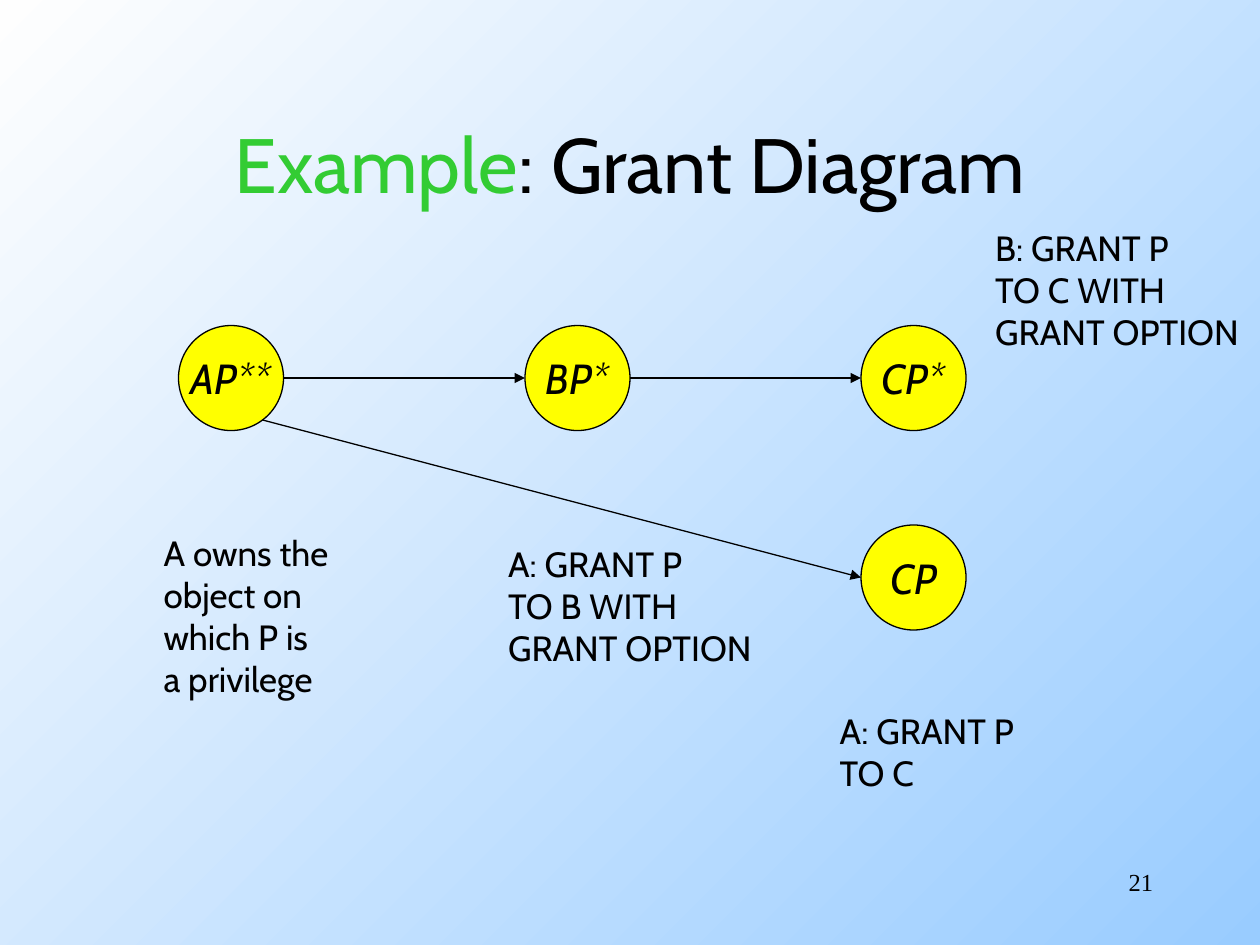
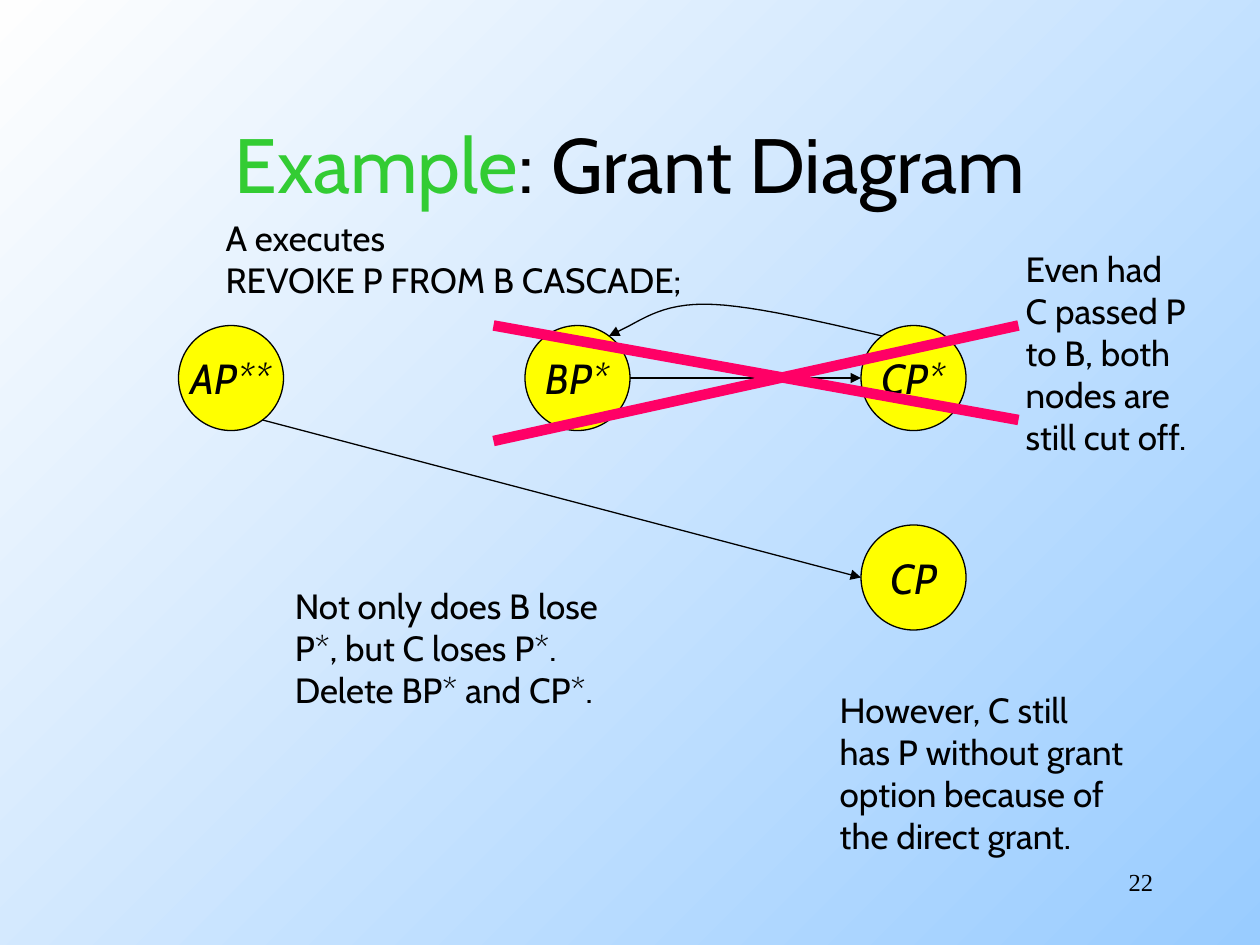
from pptx import Presentation
from pptx import util as u
from pptx.dml.color import RGBColor
from pptx.enum import shapes, text
from pptx.oxml.ns import qn
from lxml import etree

COLORS = {"text": "000000", "accent": "33CC33", "node": "FFFF00", "cross": "FF0066",
          "sky": "99CCFF", "white": "FEFEFE"}
RGB = {name: RGBColor.from_string(value) for name, value in COLORS.items()}
FONT, NUMBER_FONT = "Cabin", "Times New Roman"

prs = Presentation()
prs.slide_width, prs.slide_height = u.Inches(10), u.Inches(7.5)
CELL = prs.slide_width // 120  # the slide is a grid of 120 columns and 90 rows


def cells(*counts):
    return [round(count * CELL) for count in counts]


def draw_line(slide, start, end, color="text", width=0.75, arrow=True):
    line = slide.shapes.add_connector(shapes.MSO_CONNECTOR.STRAIGHT, *cells(*start, *end))
    line.line.color.rgb = RGB[color]
    line.line.width = u.Pt(width)
    properties = line._element.spPr
    if arrow:
        etree.SubElement(properties.find(qn("a:ln")), qn("a:tailEnd"), type="triangle")
    etree.SubElement(properties, qn("a:effectLst"))


# Shared background
sky = prs.slide_master.background.fill
sky.gradient()
sky.gradient_angle = 135
for stop, shade in zip(sky.gradient_stops, ("sky", "white")):
    stop.color.rgb = RGB[shade]

# Shared diagram: circles by column and row
NODE_SIZE = 10
NODES = [("AP**", 17, 31), ("BP*", 50, 31), ("CP*", 82, 31), ("CP", 82, 50)]
A_TO_B = ((27, 36), (50, 36))
B_TO_C = ((60, 36), (82, 36))
A_TO_C = ((25, 40), (82, 55))

# Each slide: number, grants, and notes as (column, row, width, lines)
STEPS = [
    (21, [A_TO_B, B_TO_C, A_TO_C], [
        (14.4, 50, 19.7, ["A owns the", "object on", "which P is", "a privilege"]),
        (47.2, 51.1, 27, ["A: GRANT P", "TO B WITH", "GRANT OPTION"]),
        (93.6, 21, 27, ["B: GRANT P", "TO C WITH", "GRANT OPTION"]),
        (78.8, 67, 20.2, ["A: GRANT P", "TO C"])]),
    (22, [B_TO_C, A_TO_C], [
        (20.3, 20, 47.5, ["A executes", "REVOKE P FROM B CASCADE;"]),
        (78.8, 65, 33.1, ["However, C still", "has P without grant",
                          "option because of", "the direct grant."]),
        (26.9, 55.1, 34.3, ["Not only does B lose", "P*, but C loses P*.",
                            "Delete BP* and CP*."]),
        (96.5, 23, 19.6, ["Even had", "C passed P", "to B, both",
                          "nodes are", "still cut off."])]),
]

for number, grants, notes in STEPS:
    slide = prs.slides.add_slide(prs.slide_layouts[5])

    # Title
    title = slide.shapes.title
    title.left, title.top, title.width, title.height = cells(9, 8, 102, 15)
    heading = title.text_frame
    heading.auto_size = text.MSO_AUTO_SIZE.NONE
    heading.vertical_anchor = text.MSO_ANCHOR.MIDDLE
    heading.text = "Example"
    heading.paragraphs[0].alignment = text.PP_ALIGN.CENTER
    heading.paragraphs[0].add_run().text = ": Grant Diagram"
    for run, color in zip(heading.paragraphs[0].runs, ("accent", "text")):
        run.font.name, run.font.size = FONT, u.Pt(44)
        run.font.color.rgb = RGB[color]

    # Privilege nodes
    for privilege, column, row in NODES:
        node = slide.shapes.add_shape(shapes.MSO_SHAPE.OVAL,
                                      *cells(column, row, NODE_SIZE, NODE_SIZE))
        node.shadow.inherit = False
        node.fill.solid()
        node.fill.fore_color.rgb = RGB["node"]
        node.line.color.rgb = RGB["text"]
        node.line.width = u.Pt(0.75)
        node.text_frame.word_wrap = False
        node.text_frame.text = privilege
        node.text_frame.vertical_anchor = text.MSO_ANCHOR.MIDDLE
        node.text_frame.paragraphs[0].alignment = text.PP_ALIGN.CENTER
        font = node.text_frame.paragraphs[0].runs[0].font
        font.name, font.size, font.italic = FONT, u.Pt(24), True
        font.color.rgb = RGB["text"]

    # Grant arrows
    for start, end in grants:
        draw_line(slide, start, end)

    # Notes
    for column, row, width, lines in notes:
        note = slide.shapes.add_textbox(*cells(column, row, width, 4 * len(lines) + 1.2))
        note.text_frame.word_wrap = False
        note.text_frame.auto_size = text.MSO_AUTO_SIZE.SHAPE_TO_FIT_TEXT
        note.text_frame.text = "\n".join(lines)
        for paragraph in note.text_frame.paragraphs:
            font = paragraph.runs[0].font
            font.name, font.size = FONT, u.Pt(20)
            font.color.rgb = RGB["text"]

    # Slide number
    page = slide.shapes.add_textbox(*cells(86, 82, 25, 6))
    page.text_frame.word_wrap = True
    page.text_frame.text = str(number)
    page.text_frame.paragraphs[0].alignment = text.PP_ALIGN.RIGHT
    font = page.text_frame.paragraphs[0].runs[0].font
    font.name, font.size = NUMBER_FONT, u.Pt(14)
    font.color.rgb = RGB["text"]

# Revoked nodes crossed out on the last slide
for start, end in [((47, 31), (97, 40)), ((47, 42), (97, 31))]:
    draw_line(slide, start, end, "cross", 6, arrow=False)

# Curved grant from C back to B, as two cubic curves
BENDS = [((84, 32), (78, 30.6), (72, 29.2), (68, 29)),
         ((68, 29), (64, 28.8), (62, 29.9), (60, 31))]
STEPS_PER_BEND = 12
curve = []
for bend in BENDS:
    for step in range(1, STEPS_PER_BEND + 1):
        t = step / STEPS_PER_BEND
        weights = ((1 - t) ** 3, 3 * t * (1 - t) ** 2, 3 * t ** 2 * (1 - t), t ** 3)
        curve.append(cells(*(sum(w * point[axis] for w, point in zip(weights, bend))
                             for axis in (0, 1))))
builder = slide.shapes.build_freeform(*cells(*BENDS[0][0]))
builder.add_line_segments(curve, close=False)
back_grant = builder.convert_to_shape()
back_grant.shadow.inherit = False
back_grant.fill.background()
back_grant.line.color.rgb = RGB["text"]
back_grant.line.width = u.Pt(0.75)
draw_line(slide, (60, 31), (58, 32))

prs.save("out.pptx")
